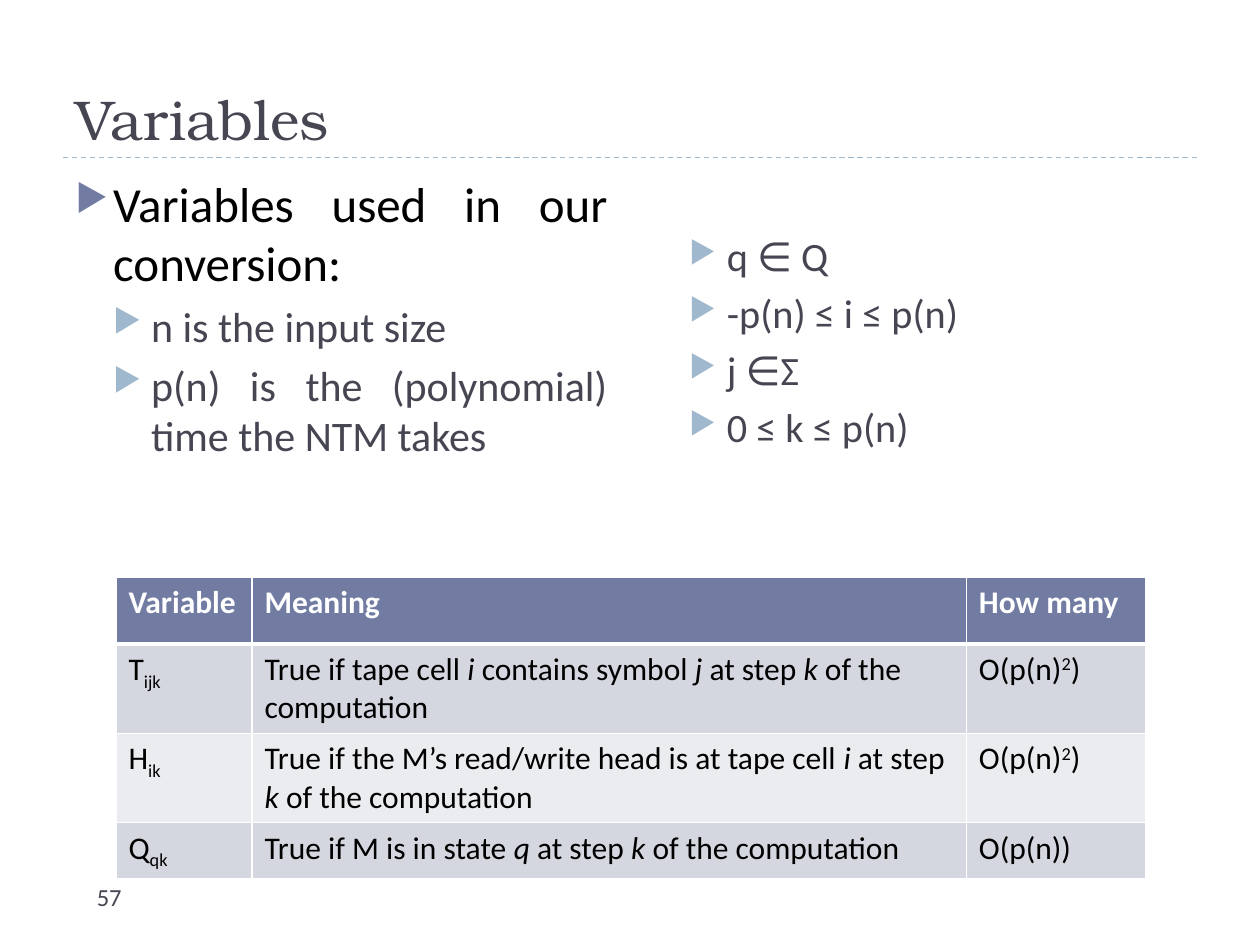
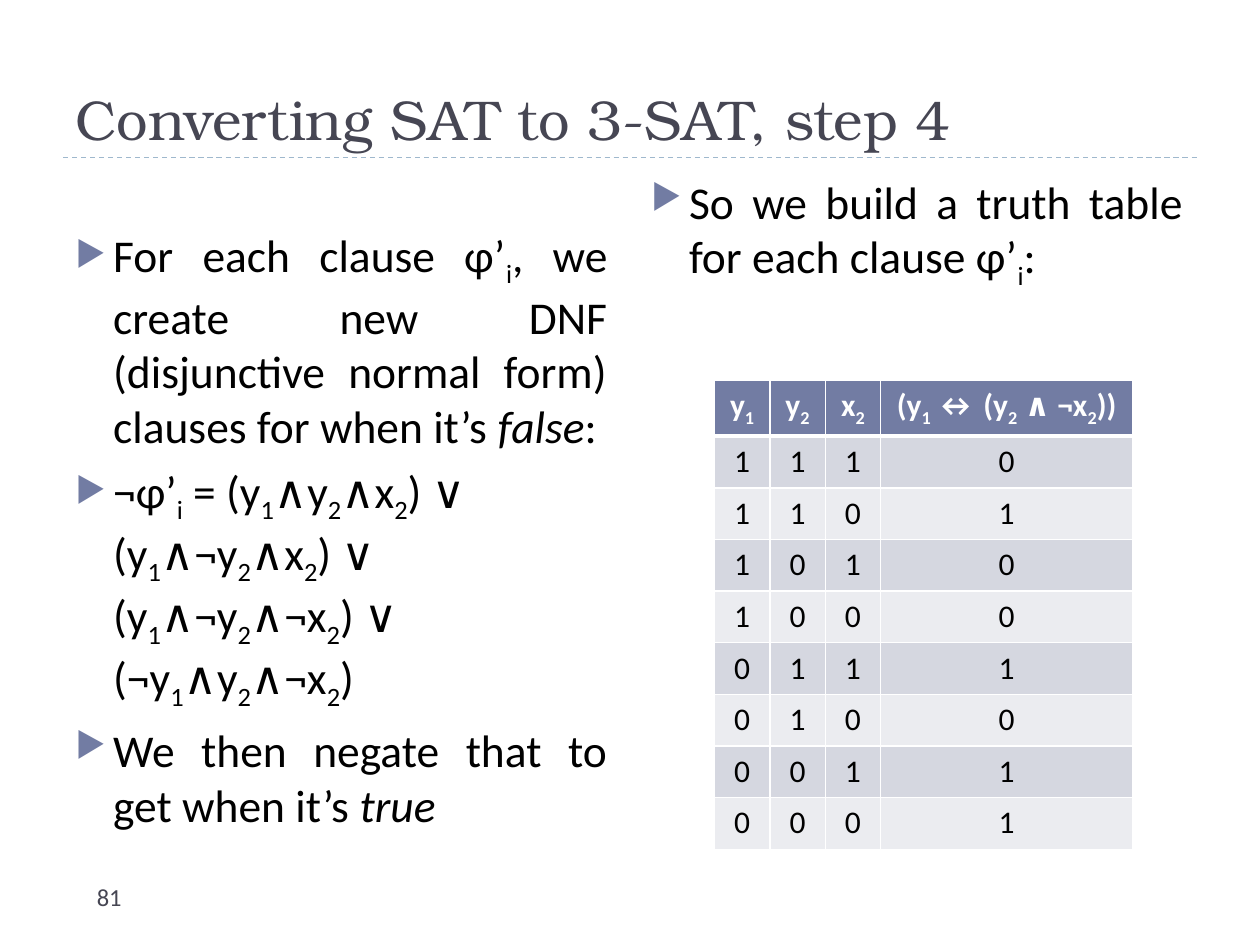
"""Builds two lecture slides on NP-completeness: tableau variables and the 3-SAT truth table."""
from itertools import product

from lxml import etree
from pptx import Presentation
from pptx.dml.color import RGBColor
from pptx.enum.dml import MSO_LINE
from pptx.enum.shapes import MSO_CONNECTOR
from pptx.enum.text import MSO_ANCHOR, PP_ALIGN
from pptx.oxml.ns import qn
from pptx.util import Inches, Pt

LEFT, CENTER, JUSTIFY = PP_ALIGN.LEFT, PP_ALIGN.CENTER, PP_ALIGN.JUSTIFY
TOP, BOTTOM = MSO_ANCHOR.TOP, MSO_ANCHOR.BOTTOM
DASH, STRAIGHT = MSO_LINE.DASH, MSO_CONNECTOR.STRAIGHT

INK = RGBColor(0x46, 0x46, 0x53)
BLACK = RGBColor(0, 0, 0)
WHITE = RGBColor(0xFF, 0xFF, 0xFF)
INDIGO = RGBColor(0x72, 0x7C, 0xA3)
SKY = RGBColor(0x9F, 0xB8, 0xCD)
BANDS = (RGBColor(0xD5, 0xD7, 0xE0), RGBColor(0xEB, 0xEC, 0xF0))

BODY_FONT, TITLE_FONT = "Calibri", "TeX Gyre Bonum"
SUBSCRIPT, SUPERSCRIPT, ITALIC = "_", "^", "*"
BASELINES = {SUBSCRIPT: "-25000", SUPERSCRIPT: "30000"}
LEVELS = (
    {"bullet": INDIGO, "color": BLACK, "before": 6},
    {"bullet": SKY, "color": INK, "before": 5},
)

TRUTH_ROWS = [
    (str(y1), str(y2), str(x2), str(int(y1 == (y2 and not x2))))
    for y1, y2, x2 in product((1, 0), repeat=3)
]

SLIDES = [
    {
        "title": "Variables",
        "number": "57",
        "bodies": [
            {
                "box": (0.5, 1.33, 4.42, 5.4),
                "items": [
                    (0, 28, JUSTIFY, "Variables used in our conversion:"),
                    (1, 24, JUSTIFY, "n is the input size"),
                    (1, 24, JUSTIFY, "p(n) is the (polynomial) time the NTM takes"),
                ],
            },
            {
                "box": (5.07, 1.79, 4.42, 4.94),
                "items": [
                    (1, 23, JUSTIFY, text)
                    for text in ("q ∈ Q", "-p(n) ≤ i ≤ p(n)", "j ∈Σ", "0 ≤ k ≤ p(n)")
                ],
            },
        ],
        "table": {
            "corner": (0.92, 4.58),
            "columns": (1.08, 5.67, 1.42),
            "heights": (0.53, 0.71, 0.71, 0.43),
            "align": LEFT,
            "rows": [
                ("Variable", "Meaning", "How many"),
                ("T_ijk_",
                 "True if tape cell *i *contains symbol *j* at step *k* of the computation",
                 "O(p(n)^2^)"),
                ("H_ik_",
                 "True if the M’s read/write head is at tape cell *i* at step *k* of the computation",
                 "O(p(n)^2^)"),
                ("Q_qk_",
                 "True if M is in state *q* at step *k* of the computation",
                 "O(p(n))"),
            ],
        },
    },
    {
        "title": "Converting SAT to 3-SAT, step 4",
        "number": "81",
        "bodies": [
            {
                "box": (0.5, 1.75, 4.42, 5.42),
                "items": [
                    (0, 26, JUSTIFY,
                     "For each clause φ’_i_, we create new DNF (disjunctive normal form) "
                     "clauses for when it’s *false*:"),
                    (0, 26, LEFT,
                     "¬φ’_i_ = (y_1_∧y_2_∧x_2_) ∨\n(y_1_∧¬y_2_∧x_2_) ∨\n"
                     "(y_1_∧¬y_2_∧¬x_2_) ∨\n(¬y_1_∧y_2_∧¬x_2_)"),
                    (0, 26, JUSTIFY, "We then negate that to get when it’s *true*"),
                ],
            },
            {
                "box": (5.07, 1.33, 4.42, 5.4),
                "items": [
                    (0, 26, JUSTIFY, "So we build a truth table for each clause φ’_i_:"),
                ],
            },
        ],
        "table": {
            "corner": (5.67, 3.02),
            "columns": (0.44, 0.44, 0.44, 2),
            "heights": (0.41,) * 9,
            "align": CENTER,
            "rows": [("y_1_", "y_2_", "x_2_", "(y_1 _↔ (y_2_ ∧ ¬x_2_))")] + TRUTH_ROWS,
        },
    },
]


def split_marks(text):
    """Yield (mark, piece) pairs, where a mark switches its format on and off."""
    mark, piece = "", ""
    for character in text:
        if character in (SUBSCRIPT, SUPERSCRIPT, ITALIC, "\n"):
            if piece:
                yield mark, piece
            piece = ""
            if character == "\n":
                yield "\n", ""
            else:
                mark = "" if mark == character else character
        else:
            piece += character
    if piece:
        yield mark, piece


def write(paragraph, text, size=18, color=BLACK, font=BODY_FONT, bold=False, align=LEFT):
    """Fill a paragraph with marked-up text in one format."""
    paragraph.alignment = align
    for mark, piece in split_marks(text):
        if mark == "\n":
            paragraph.add_line_break()
            continue
        run = paragraph.add_run()
        run.text = piece
        run.font.size = Pt(size)
        run.font.name = font
        run.font.bold = bold
        run.font.italic = mark == ITALIC
        run.font.color.rgb = color
        if mark in BASELINES:
            run._r.get_or_add_rPr().set("baseline", BASELINES[mark])


def add_text_frame(slide, box, anchor=TOP):
    """Add a wrapping text box and return its frame."""
    frame = slide.shapes.add_textbox(*map(Inches, box)).text_frame
    frame.word_wrap = True
    frame.vertical_anchor = anchor
    return frame


def add_bullet(paragraph, level):
    """Give a paragraph the hanging triangle of its level."""
    properties = paragraph._p.get_or_add_pPr()
    properties.set("marL", str(Inches(0.3 * (level + 1))))
    properties.set("indent", str(Inches(-0.3)))
    color = etree.SubElement(properties, qn("a:buClr"))
    etree.SubElement(color, qn("a:srgbClr"), val=str(LEVELS[level]["bullet"]))
    etree.SubElement(properties, qn("a:buSzPct"), val="76000")
    etree.SubElement(properties, qn("a:buChar"), char="▶")


def add_body(slide, box, items):
    """Add a bulleted text column."""
    frame = add_text_frame(slide, box)
    for index, (level, size, align, text) in enumerate(items):
        paragraph = frame.add_paragraph() if index else frame.paragraphs[0]
        paragraph.level = level
        paragraph.space_before = Pt(LEVELS[level]["before"])
        add_bullet(paragraph, level)
        write(paragraph, text, size=size, color=LEVELS[level]["color"], align=align)


def set_borders(cell, row_index):
    """Draw white cell borders, thicker under the header row."""
    widths = {
        "a:lnL": 1,
        "a:lnR": 1,
        "a:lnT": 3 if row_index == 1 else 1,
        "a:lnB": 3 if row_index == 0 else 1,
    }
    properties = cell._tc.get_or_add_tcPr()
    for tag, width in widths.items():
        line = etree.SubElement(properties, qn(tag), w=str(Pt(width)))
        fill = etree.SubElement(line, qn("a:solidFill"))
        etree.SubElement(fill, qn("a:srgbClr"), val=str(WHITE))


def add_banded_table(slide, corner, columns, heights, align, rows):
    """Add a table with an indigo header and alternating bands."""
    size = (sum(columns), sum(heights))
    table = slide.shapes.add_table(
        len(rows), len(columns), *map(Inches, corner + size)).table
    for column, width in zip(table.columns, columns):
        column.width = Inches(width)
    for row_index, (row, height) in enumerate(zip(rows, heights)):
        table.rows[row_index].height = Inches(height)
        header = row_index == 0
        for column_index, text in enumerate(row):
            cell = table.cell(row_index, column_index)
            set_borders(cell, row_index)
            cell.fill.solid()
            cell.fill.fore_color.rgb = INDIGO if header else BANDS[(row_index - 1) % 2]
            write(cell.text_frame.paragraphs[0], text, align=align, bold=header,
                  color=WHITE if header else BLACK)


def add_frame(slide, title, number):
    """Add the title, its dashed rule and the slide number."""
    rule = slide.shapes.add_connector(
        STRAIGHT, Inches(0.5), Inches(1.25), Inches(9.5), Inches(1.25))
    rule.line.color.rgb = SKY
    rule.line.width = Pt(0.75)
    rule.line.dash_style = DASH
    etree.SubElement(rule._element.spPr, qn("a:effectLst"))
    title_frame = add_text_frame(slide, (0.5, 0.25, 9, 1), anchor=BOTTOM)
    write(title_frame.paragraphs[0], title, size=32, color=INK, font=TITLE_FONT)
    number_frame = add_text_frame(slide, (0.67, 6.95, 2.17, 0.4))
    write(number_frame.paragraphs[0], number, size=14, color=INK)


def main():
    """Build and save the presentation."""
    presentation = Presentation()
    presentation.slide_width, presentation.slide_height = Inches(10), Inches(7.5)
    for content in SLIDES:
        slide = presentation.slides.add_slide(presentation.slide_layouts[6])
        add_frame(slide, content["title"], content["number"])
        for body in content["bodies"]:
            add_body(slide, **body)
        add_banded_table(slide, **content["table"])
    presentation.save("out.pptx")


if __name__ == "__main__":
    main()
